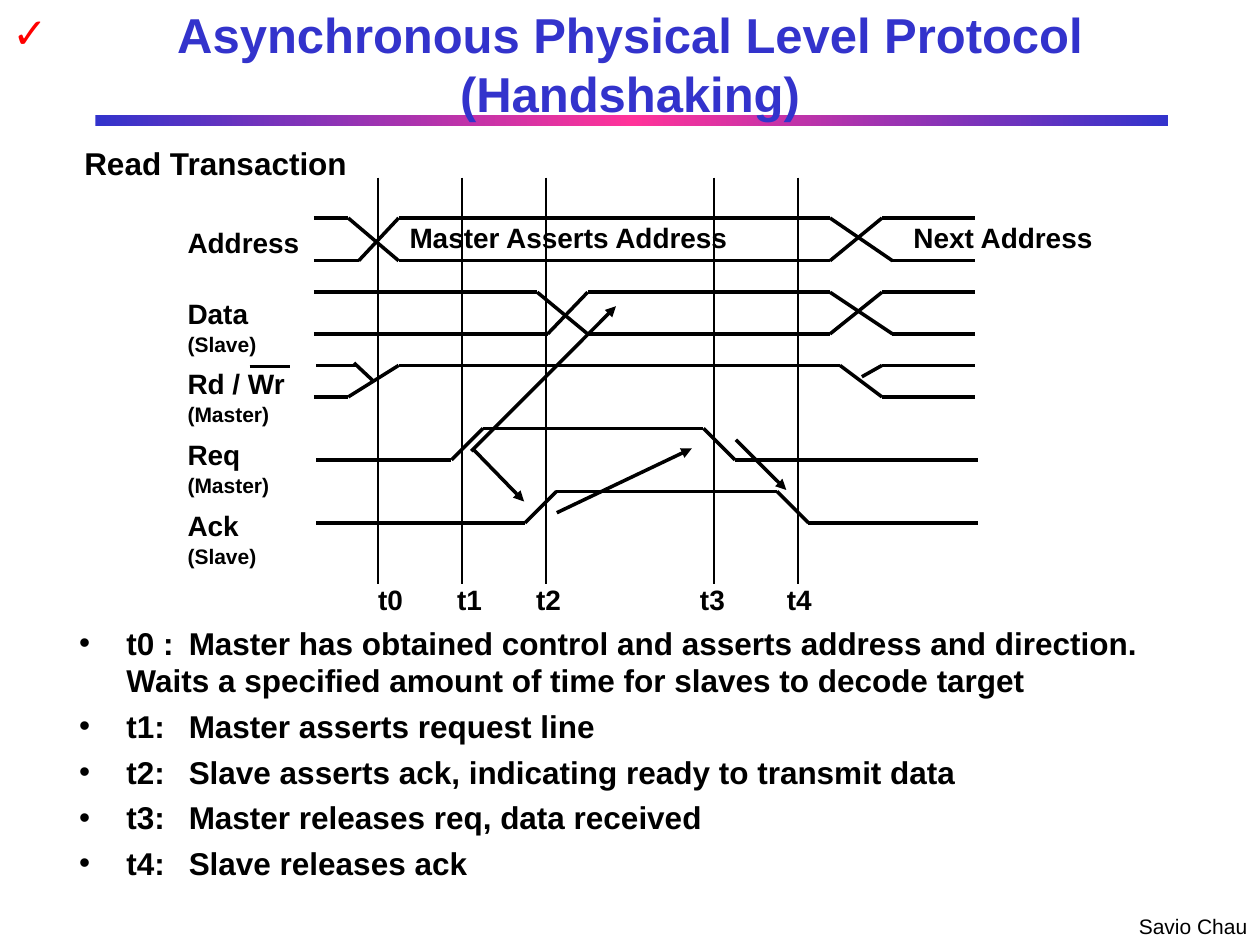
from itertools import pairwise
from lxml.etree import SubElement
from pptx import Presentation
from pptx.dml.color import RGBColor
from pptx.enum.shapes import MSO_CONNECTOR as CONNECTOR, MSO_SHAPE as SHAPE
from pptx.enum.text import MSO_ANCHOR as ANCHOR, PP_ALIGN as ALIGN
from pptx.oxml.ns import qn
from pptx.util import Pt

TITLE = "Asynchronous Physical Level Protocol (Handshaking)"
BLACK, BLUE, PINK, RED = "000000", "3333CC", "FF3399", "FF0000"
STEPS = [
    "t0 : \tMaster has obtained control and asserts address and direction."
    "\tWaits a specified amount of time for slaves to decode target",
    "t1: \tMaster asserts request line",
    "t2: \tSlave asserts ack, indicating ready to transmit data",
    "t3: \tMaster releases req, data received",
    "t4:\tSlave releases ack",
]
SIGNALS = [("Address", 16, 0), ("Data", 16, 21.2), ("(Slave)", 12, 0.7),
           ("Rd / Wr", 16, 6.1), ("(Master)", 12, 0.7),
           ("Req", 16, 6.1), ("(Master)", 12, 0.7),
           ("Ack", 16, 6.1), ("(Slave)", 12, 0.7)]
CAPTIONS = [("Read Transaction", 18, 43.2, 83.5, 161),
            ("Master Asserts Address", 16, 229, 126.7, 193),
            ("Next Address", 16, 517, 126.7, 113)]
TIME_LABELS = ["t0", "t1", "t2", "t3", "t4"]
TIME_TABS = [45.2, 90.3, 184, 233.7]
TIMES = [216, 264, 312, 408, 456]
BUSES = [(124.6, 149, 199), (167, 190.8, 307)]
PULSES = [(258, 262.8), (300, 298.8)]
READ_WRITE = [
    [(179.3, 226.8), (199, 226.8), (227.8, 208.8), (480, 208.8), (504, 226.8), (557.3, 226.8)],
    [(180.7, 208.8), (203.8, 208.8)],
    [(202.3, 207.4), (213.8, 218.2)],
    [(492.5, 215.3), (504, 208.8), (557.3, 208.8)],
    [(142.6, 209.5), (165.6, 209.5)],
]
ARROWS = [[(270.7, 257), (299.5, 286.6)], [(318.2, 293), (395.3, 256.3)],
          [(420.5, 251.3), (449.3, 280)], [(269.3, 257.8), (352, 175)]]


def rgb(value):
    """Turn a hex string into a colour."""
    return RGBColor.from_string(value)


def style(paragraph, size, colour=BLACK, bold=True):
    """Set the font of a paragraph."""
    font = paragraph.font
    font.name, font.size, font.bold = "Arial", Pt(size), bold
    font.color.rgb = rgb(colour)


def add_tabs(paragraph, stops):
    """Give a paragraph left tab stops in points."""
    tab_list = SubElement(paragraph._p.get_or_add_pPr(), qn("a:tabLst"))
    for stop in stops:
        SubElement(tab_list, qn("a:tab"), pos=str(Pt(stop)), algn="l")


def add_text(slide, lines, left, top, width, height, inset=(5, 2.2), wrap=False):
    """Add a text box of plain lines and return its paragraphs."""
    frame = slide.shapes.add_textbox(Pt(left), Pt(top), Pt(width), Pt(height)).text_frame
    frame.word_wrap = wrap
    frame.margin_left = frame.margin_right = Pt(inset[0])
    frame.margin_top = frame.margin_bottom = Pt(inset[1])
    frame.text = "\n".join(lines)
    return frame.paragraphs


def add_path(slide, points, weight=2, arrow=False):
    """Join successive points with straight connectors."""
    for start, end in pairwise(points):
        segment = slide.shapes.add_connector(
            CONNECTOR.STRAIGHT, *(Pt(value) for value in start + end))
        segment.line.color.rgb = rgb(BLACK)
        segment.line.width = Pt(weight)
        if arrow:
            SubElement(segment.line._get_or_add_ln(), qn("a:tailEnd"), type="triangle")
        SubElement(segment._element.spPr, qn("a:effectLst"))


def add_header(slide):
    """Place the title over its gradient bar."""
    title = slide.shapes.title
    title.left, title.top, title.width, title.height = Pt(25.2), Pt(0), Pt(669.6), Pt(72)
    title.text_frame.text = TITLE
    title.text_frame.vertical_anchor = ANCHOR.MIDDLE
    heading = title.text_frame.paragraphs[0]
    heading.alignment = ALIGN.CENTER
    style(heading, 28, BLUE)
    bar = slide.shapes.add_shape(SHAPE.RECTANGLE, Pt(54.5), Pt(66), Pt(613), Pt(6))
    bar.shadow.inherit = False
    bar.line.fill.background()
    bar.fill.gradient()
    bar.fill.gradient_angle = 0
    stops = bar.fill._fill._gradFill.gsLst
    stops.clear()
    for position, colour in ((0, BLUE), (50000, PINK), (100000, BLUE)):
        stop = SubElement(stops, qn("a:gs"), pos=str(position))
        SubElement(stop, qn("a:srgbClr"), val=colour)
    title._element.addprevious(bar._element)


def add_waveforms(slide):
    """Draw the time markers, signals and cause arrows."""
    for time in TIMES:
        add_path(slide, [(time, 101.5), (time, 334)], 1)
    for high, low, cross in BUSES:
        settled = cross + 28.8
        add_path(slide, [(179.3, high), (cross, high), (settled, low),
                         (474.3, low), (504, high), (557.3, high)])
        add_path(slide, [(179.3, low), (cross + 6, low), (settled, high),
                         (474.3, high), (510, low), (557.3, low)])
    for rise, low in PULSES:
        high = low - 18
        add_path(slide, [(180.7, low), (rise, low), (rise + 18, high),
                         (rise + 144, high), (rise + 162, low), (559, low)])
    for trace in READ_WRITE:
        add_path(slide, trace)
    for arrow in ARROWS:
        add_path(slide, arrow, arrow=True)


def add_labels(slide):
    """Write the signal names, captions and time labels."""
    names = add_text(slide, [name for name, _, _ in SIGNALS], 102.2, 126.7, 74, 200)
    for paragraph, (_, size, gap) in zip(names, SIGNALS):
        paragraph.space_before = Pt(gap)
        style(paragraph, size)
    for text, size, left, top, width in CAPTIONS:
        caption = add_text(slide, [text], left, top, width, size + 4)[0]
        caption.line_spacing = 0.85
        style(caption, size)
    times = add_text(slide, ["\t".join(TIME_LABELS)], 211, 333.4, 262, 20, wrap=True)[0]
    times.line_spacing = 0.85
    add_tabs(times, TIME_TABS)
    style(times, 16)


def add_steps(slide):
    """List what happens at each time."""
    steps = add_text(slide, STEPS, 38.2, 352.8, 643, 162.7, (7.2, 3.6), True)
    for index, paragraph in enumerate(steps):
        paragraph.space_before = Pt(4.5 if index else 0)
        properties = paragraph._p.get_or_add_pPr()
        properties.set("marL", str(Pt(27)))
        properties.set("indent", str(Pt(-27)))
        SubElement(properties, qn("a:buFont"), typeface="Arial")
        SubElement(properties, qn("a:buChar"), char="•")
        add_tabs(paragraph, [62.6])
        style(paragraph, 18)


def main():
    """Build the handshaking slide."""
    deck = Presentation()
    deck.slide_width, deck.slide_height = Pt(720), Pt(540)
    slide = deck.slides.add_slide(deck.slide_layouts[5])
    add_header(slide)
    add_waveforms(slide)
    add_labels(slide)
    add_steps(slide)
    author = add_text(slide, ["Savio Chau"], 643.7, 518.4, 76.3, 21.6, (7.2, 3.6))[0]
    style(author, 12, bold=False)
    check = add_text(slide, ["✓"], 0, 0, 34, 36, (7.2, 3.6))[0]
    style(check, 24, RED)
    deck.save("out.pptx")


if __name__ == "__main__":
    main()
